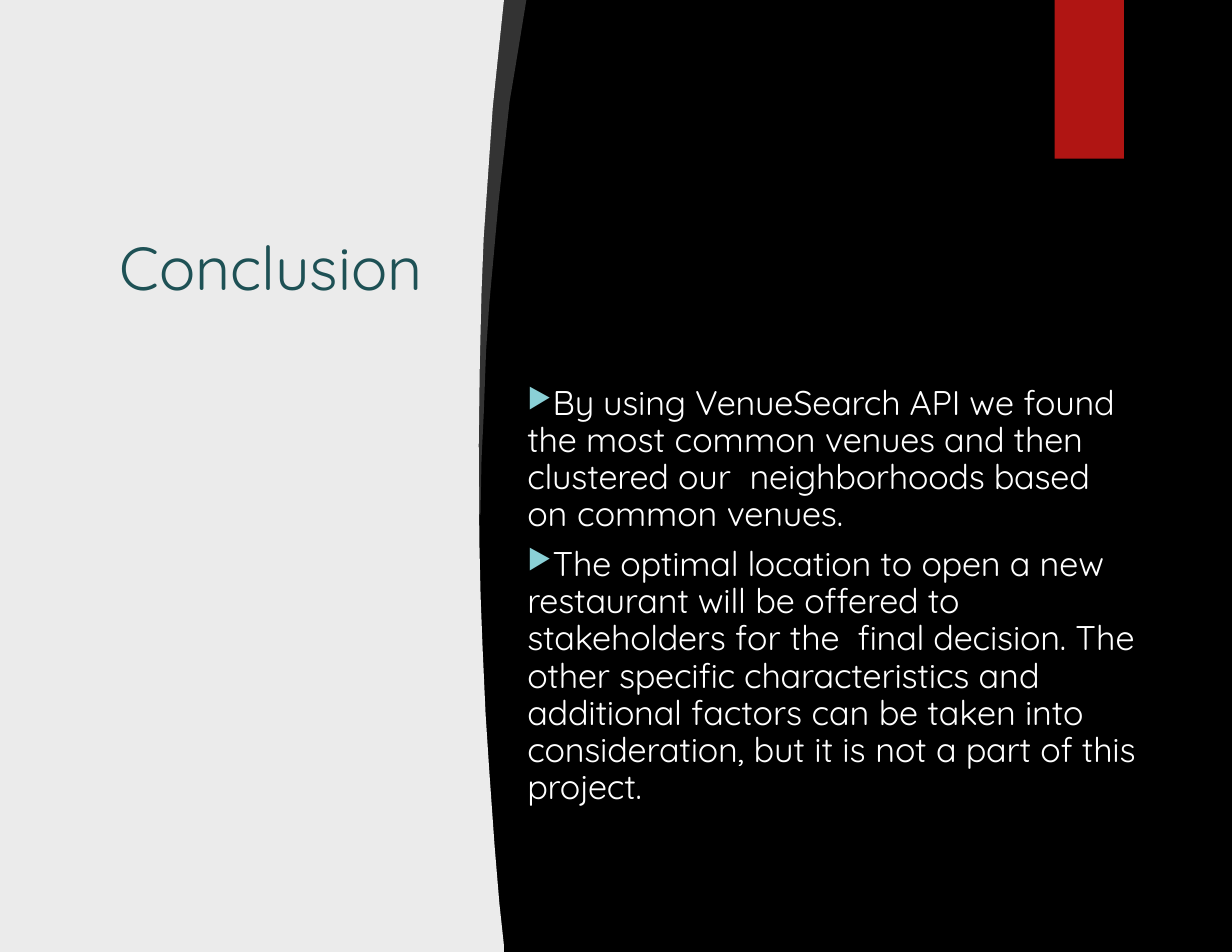
"""Build the Conclusion slide with a curved title panel and two bullet points."""
from lxml.etree import SubElement
from pptx import Presentation
from pptx.dml.color import RGBColor
from pptx.enum.shapes import MSO_SHAPE
from pptx.enum.text import PP_ALIGN
from pptx.oxml.ns import qn
from pptx.util import Pt

COLOURS = {"background": "000000", "panel": "EBEBEB", "crescent": "FFFFFF",
           "ribbon": "B01513", "title": "1E5155", "body": "FFFFFF", "bullet": "8AD0D6"}
FONT = "Quicksand"
WIDTH, HEIGHT = 792, 612

TITLE = [("C", -10), ("onc", 0), ("l", -10), ("u", 0), ("s", -10), ("i", -20), ("o", 0), ("n", -10)]
POINTS = [
    [("By using VenueSearch API ", -10), ("we", 0), (" found the ", -10), ("most", 0),
     (" common", 10), (" venues and then clustered ", -10), ("our  ", 0),
     ("neighborhoods based ", -10), ("on ", 10), ("common ", 0), ("venues.", -10)],
    [("The optimal location ", -10), ("to ", 0), ("open ", -10), ("a new ", 0),
     ("restaurant will ", -10), ("be", 10), (" offered ", -10), ("to ", 0),
     ("stakeholders ", -10), ("for ", 0), ("the  final decision.", -10), (" The ", 0),
     ("other specific characteristics ", -10), ("and", 10), (" additional ", -10),
     ("factors can ", 0), ("be ", -10), ("taken ", 0), ("into  consideration, ", -10),
     ("but ", 0), ("it ", -10), ("is ", 10), ("not", -10), (" a", 0), (" part ", -10),
     ("of", 0), (" this project.", -10)],
]
PANEL = [(0, 0), (324, 0), (320.4, 34.6), (316.8, 69.1), (313.9, 110.9), (311, 152.6),
         (309.6, 187), (308.5, 233), (307.8, 286), (308.2, 348), (309, 383), (310.3, 417),
         (312.2, 459), (314.6, 496), (318, 544), (321.1, 581), (324, 608), (324, HEIGHT),
         (0, HEIGHT)]
CRESCENT = [(307, 0), (338.4, 0), (334.8, 22), (331.2, 44), (327.6, 65.5), (324, 98.6),
            (320.4, 131), (317.5, 163.4), (314.6, 195), (312.5, 226), (311, 266.4),
            (309.6, 295), (308.9, 331), (304, 327.6), (302, 200)]


def colour(name):
    return RGBColor.from_string(COLOURS[name])


def paint(shape, name):
    shape.shadow.inherit = False
    shape.fill.solid()
    shape.fill.fore_color.rgb = colour(name)
    shape.line.fill.background()
    return shape


def add_outline(slide, points, name):
    builder = slide.shapes.build_freeform(Pt(points[0][0]), Pt(points[0][1]))
    builder.add_line_segments([(Pt(x), Pt(y)) for x, y in points[1:]], close=True)
    return paint(builder.convert_to_shape(), name)


def add_text_frame(slide, left, top, width, height):
    frame = slide.shapes.add_textbox(Pt(left), Pt(top), Pt(width), Pt(height)).text_frame
    frame.word_wrap = True
    frame.margin_left = frame.margin_top = frame.margin_right = frame.margin_bottom = 0
    return frame


def add_runs(paragraph, runs, size, name):
    for text, spacing in runs:
        run = paragraph.add_run()
        run.text = text
        run.font.name = FONT
        run.font.size = Pt(size)
        run.font.color.rgb = colour(name)
        run.font._element.set("spc", str(spacing))


def add_bullet(paragraph):
    properties = paragraph._p.get_or_add_pPr()
    properties.set("marL", "0")
    properties.set("indent", "0")
    bullet_colour = SubElement(properties, qn("a:buClr"))
    SubElement(bullet_colour, qn("a:srgbClr"), val=COLOURS["bullet"])
    SubElement(properties, qn("a:buSzPct"), val="80000")
    SubElement(properties, qn("a:buChar"), char="▶")


def main():
    presentation = Presentation()
    presentation.slide_width, presentation.slide_height = Pt(WIDTH), Pt(HEIGHT)
    slide = presentation.slides.add_slide(presentation.slide_layouts[6])
    slide.background.fill.solid()
    slide.background.fill.fore_color.rgb = colour("background")

    crescent = add_outline(slide, CRESCENT, "crescent")
    crescent_colour = crescent._element.spPr.find(qn("a:solidFill"))[0]
    SubElement(crescent_colour, qn("a:alpha"), val="20000")
    add_outline(slide, PANEL, "panel")
    ribbon = slide.shapes.add_shape(MSO_SHAPE.RECTANGLE, Pt(678), 0, Pt(44.6), Pt(102))
    paint(ribbon, "ribbon")

    title = add_text_frame(slide, 42.5, 147.5, 229, 398).paragraphs[0]
    title.alignment = PP_ALIGN.RIGHT
    add_runs(title, TITLE, 39, "title")

    body = add_text_frame(slide, 339, 247.8, 393, 298)
    for index, runs in enumerate(POINTS):
        paragraph = body.add_paragraph() if index else body.paragraphs[0]
        paragraph.line_spacing = Pt(23.8)
        paragraph.space_after = Pt(8.4)
        add_bullet(paragraph)
        add_runs(paragraph, runs, 22, "body")

    presentation.save("out.pptx")


if __name__ == "__main__":
    main()
